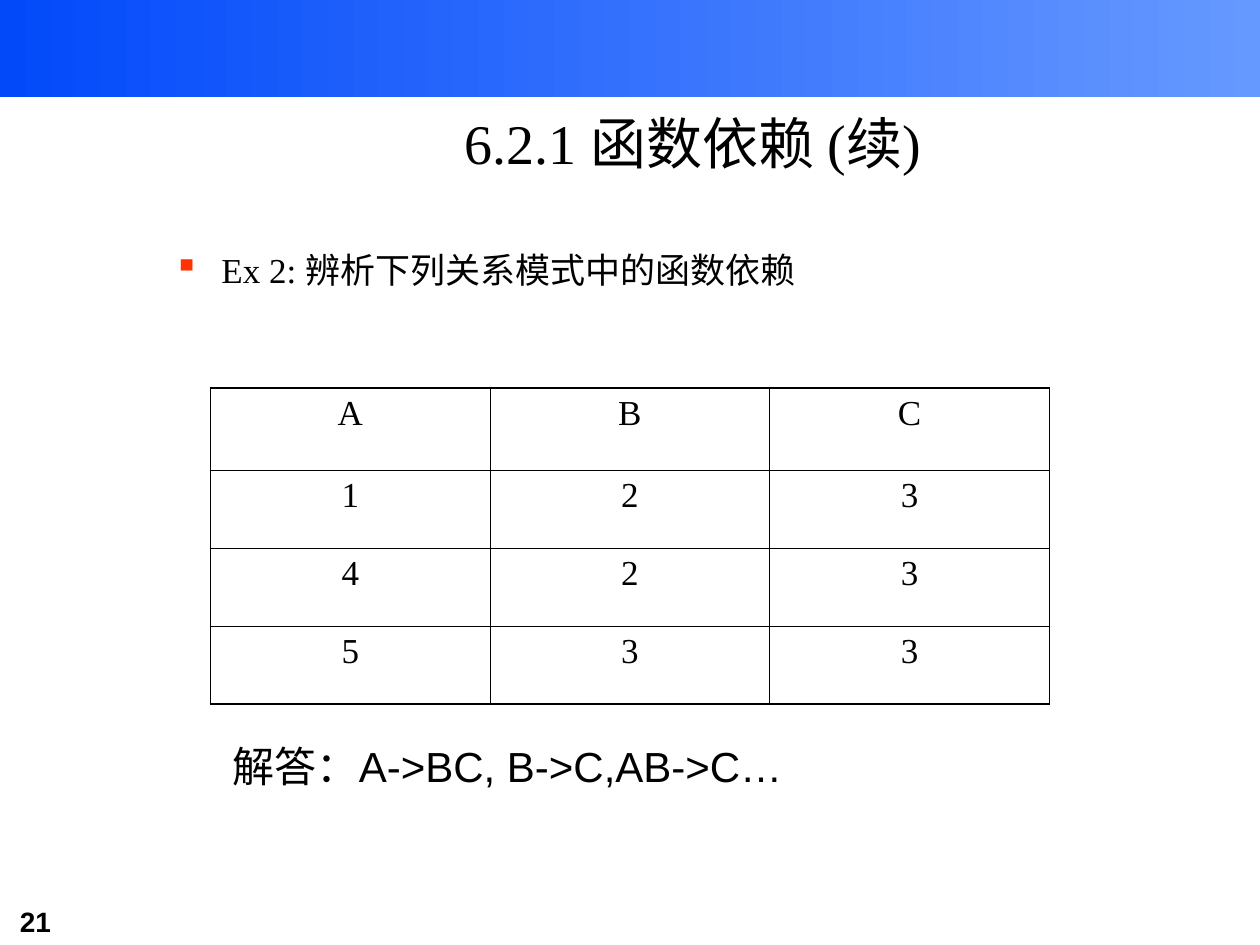
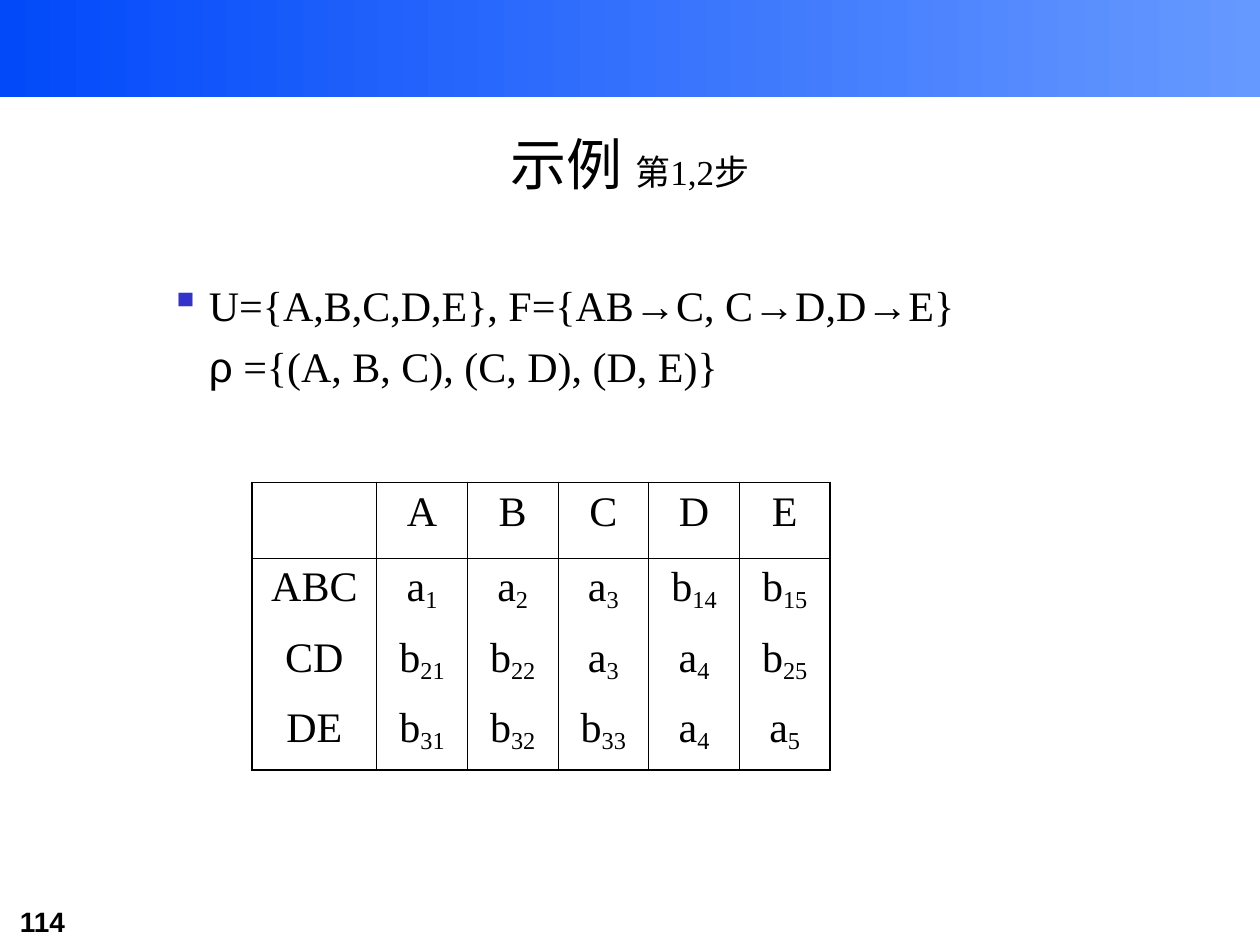
from lxml import etree
from pptx import Presentation
from pptx.dml.color import RGBColor
from pptx.enum.shapes import MSO_SHAPE
from pptx.enum.text import MSO_ANCHOR, PP_ALIGN
from pptx.oxml.ns import qn
from pptx.util import Inches, Pt

RECT = MSO_SHAPE.RECTANGLE
MIDDLE, TOP = MSO_ANCHOR.MIDDLE, MSO_ANCHOR.TOP
LEFT, CENTER = PP_ALIGN.LEFT, PP_ALIGN.CENTER
COLORS = {
    "ink": "000000",
    "deep": "0249FA",
    "pale": "6699FF",
    "red": "FF3300",
    "blue": "3333CC",
}
SERIF, SANS = "Times New Roman", "Arial"
THICK, THIN = 1.08, 0.45
ARROW = ("→", {"font": SANS})


def tint(name):
    """Return a named colour as RGB."""
    return RGBColor.from_string(COLORS[name])


def write(frame, *paras, size=20, font=SERIF, bold=False, align=LEFT, before=0):
    """Fill a text frame; each paragraph is a list of strings or (string, format) pairs."""
    for index, parts in enumerate(paras):
        para = frame.add_paragraph() if index else frame.paragraphs[0]
        para.alignment = align
        para.space_before = Pt(before)
        for part in parts:
            text, form = (part, {}) if isinstance(part, str) else part
            run = para.add_run()
            run.text = text
            run.font.size = Pt(form.get("size", size))
            run.font.name = form.get("font", font)
            run.font.bold = bold
            run.font.color.rgb = tint("ink")
            if form.get("sub"):
                run.font._element.set("baseline", "-16000")


def add_text(slide, box, *paras, anchor=TOP, **form):
    """Add a wrapped text box and return its frame."""
    frame = slide.shapes.add_textbox(*map(Inches, box)).text_frame
    frame.word_wrap = True
    frame.vertical_anchor = anchor
    write(frame, *paras, **form)
    return frame


def indent(para, margin, hang=0, mark=None):
    """Indent a paragraph, with a square bullet if a mark colour is given."""
    props = para._p.get_or_add_pPr()
    props.set("marL", str(Inches(margin)))
    props.set("indent", str(Inches(-hang)))
    if mark:
        color = etree.SubElement(props, qn("a:buClr"))
        etree.SubElement(color, qn("a:srgbClr"), val=COLORS[mark])
        etree.SubElement(props, qn("a:buChar"), char="▪")


def edge(cell, side, width):
    """Draw one cell border, or hide it when the width is zero."""
    props = cell._tc.get_or_add_tcPr()
    line = etree.SubElement(props, qn(f"a:ln{side}"), w=str(Pt(width)))
    if width:
        fill = etree.SubElement(line, qn("a:solidFill"))
        etree.SubElement(fill, qn("a:srgbClr"), val=COLORS["ink"])
    else:
        etree.SubElement(line, qn("a:noFill"))


def add_grid(slide, left, top, cols, rows, data, rule=THIN, **form):
    """Add a framed table; rule is the line width between body rows."""
    shape = slide.shapes.add_table(
        len(rows), len(cols), Inches(left), Inches(top),
        Inches(sum(cols)), Inches(sum(rows)))
    table = shape.table
    for col, width in zip(table.columns, cols):
        col.width = Inches(width)
    for row, height in zip(table.rows, rows):
        row.height = Inches(height)
    across = [THICK] + [THIN] * (len(cols) - 1) + [THICK]
    down = [THICK, THIN] + [rule] * (len(rows) - 2) + [THICK]
    for y, line in enumerate(data):
        for x, text in enumerate(line):
            cell = table.cell(y, x)
            edge(cell, "L", across[x])
            edge(cell, "R", across[x + 1])
            edge(cell, "T", down[y])
            edge(cell, "B", down[y + 1])
            cell.fill.background()
            base, _, sub = text.partition("_")
            parts = [base, (sub, {"sub": True})] if sub else [base]
            if text:
                write(cell.text_frame, parts, align=CENTER, **form)


def add_page(deck, number, box, title):
    """Add a slide with its band, page number and title."""
    slide = deck.slides.add_slide(deck.slide_layouts[6])
    band = slide.shapes.add_shape(RECT, 0, 0, deck.slide_width, Inches(0.77))
    band.shadow.inherit = False
    band.line.fill.background()
    band.fill.gradient()
    band.fill.gradient_angle = 0
    for stop, place, name in zip(band.fill.gradient_stops, (0, 1), ("deep", "pale")):
        stop.position = place
        stop.color.rgb = tint(name)
    add_text(slide, (0.06, 7.13, 1.22, 0.37), [str(number)],
             size=16, font=SANS, bold=True, before=10)
    add_text(slide, box, title, size=32, align=CENTER, anchor=MIDDLE)
    return slide


def add_task(deck):
    """Build the slide that asks for dependencies in a relation."""
    slide = add_page(deck, 21, (1.25, 0.81, 8.5, 0.63), ["6.2.1 函数依赖 (续)"])
    body = add_text(slide, (1.28, 1.92, 8.5, 0.92),
                    ["Ex 2: 辨析下列关系模式中的函数依赖"], before=5)
    indent(body.paragraphs[0], 0.38, 0.38, "red")
    add_grid(slide, 1.67, 3.08, [2.22] * 3, [0.65] + [0.62] * 3,
             ["ABC", "123", "423", "533"], before=5)
    add_text(slide, (1.75, 5.83, 6.17, 0.5),
             ["解答：", ("A->BC, B->C,AB->C…", {"font": SANS})], size=24, before=15)


def add_steps(deck):
    """Build the slide that shows the first steps of the example."""
    slide = add_page(deck, 114, (0.75, 1.04, 8.5, 0.51),
                     ["示例 ", ("第1,2步", {"size": 20})])
    body = add_text(
        slide, (0.75, 2.17, 8.5, 1.42),
        ["U={A,B,C,D,E}, F={AB", ARROW, "C, C", ARROW, "D,D", ARROW, "E}"],
        [("ρ", {"font": SANS}), " ={(A, B, C), (C, D), (D, E)}"],
        size=24, before=6)
    first, second = body.paragraphs
    indent(first, 0.81, 0.31, "blue")
    indent(second, 0.81)
    data = [
        ["", "A", "B", "C", "D", "E"],
        ["ABC", "a_1", "a_2", "a_3", "b_14", "b_15"],
        ["CD", "b_21", "b_22", "a_3", "a_4", "b_25"],
        ["DE", "b_31", "b_32", "b_33", "a_4", "a_5"],
    ]
    add_grid(slide, 2, 3.83, [0.99] + [0.72] * 5, [0.6] + [0.56] * 3,
             data, rule=0, size=24, before=6)


def main():
    """Build and save the deck."""
    deck = Presentation()
    deck.slide_width, deck.slide_height = Inches(10), Inches(7.5)
    add_task(deck)
    add_steps(deck)
    deck.save("out.pptx")


if __name__ == "__main__":
    main()
